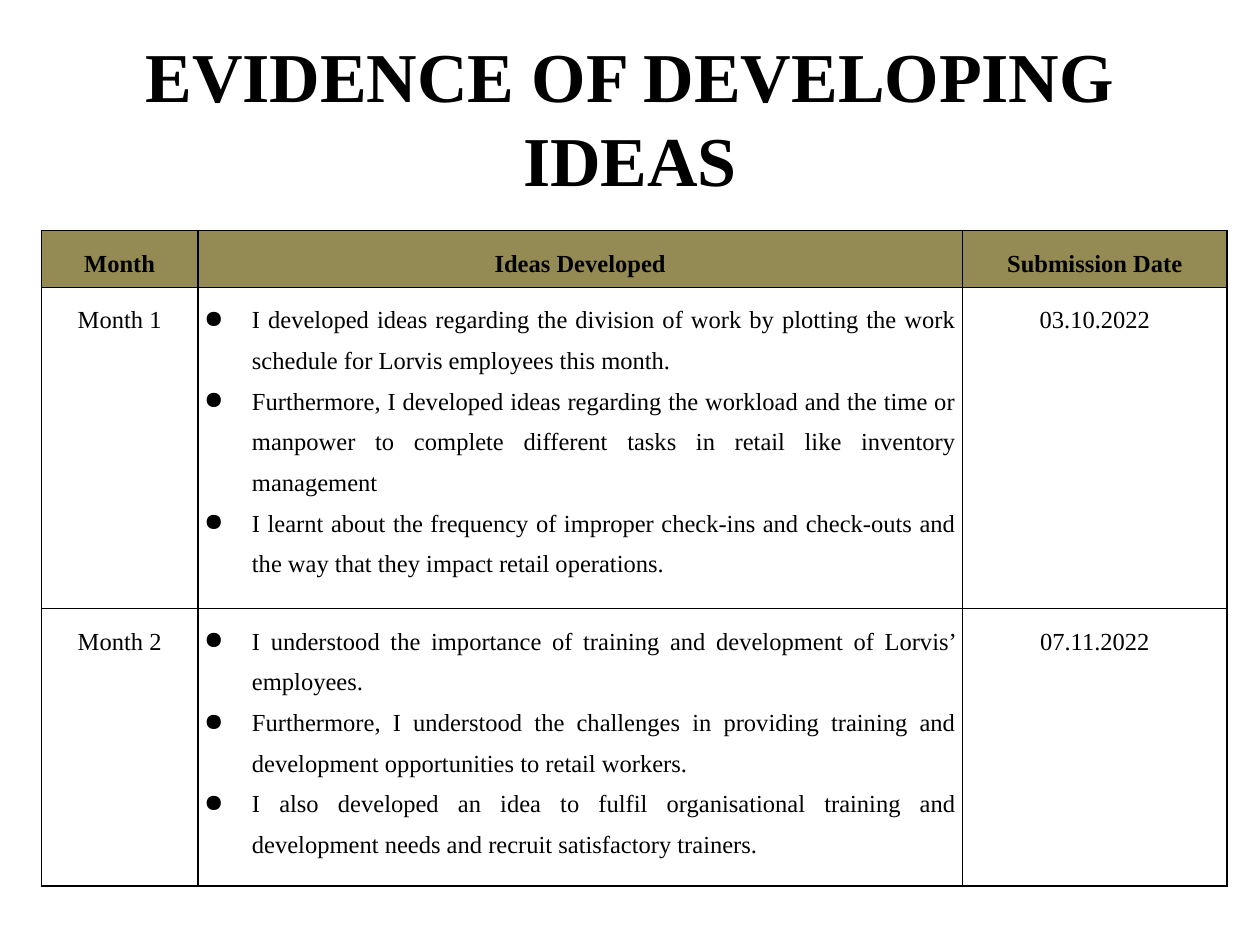
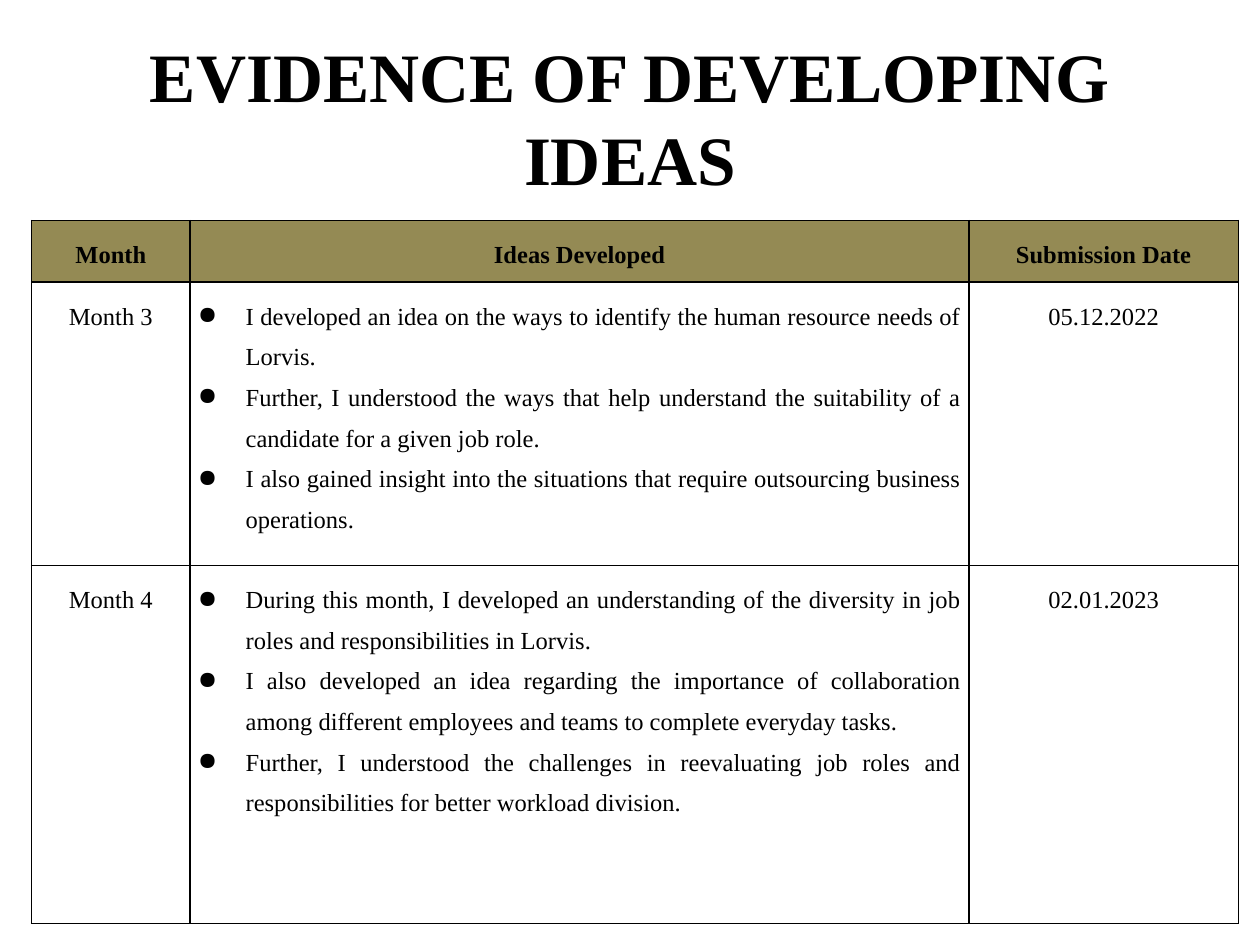
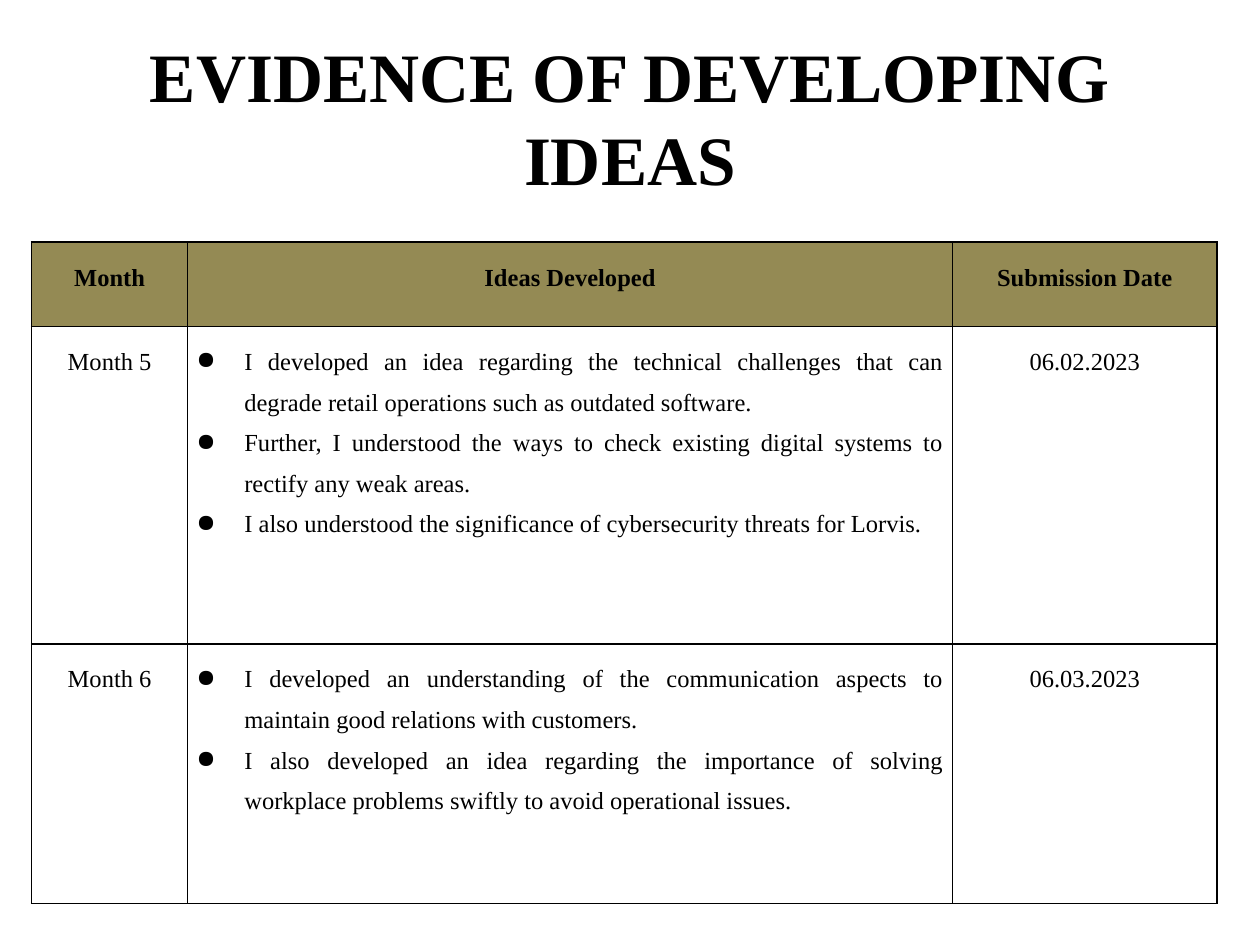
from pptx import Presentation
from pptx import util as u
from pptx.dml.color import RGBColor
from pptx.enum import text
from pptx.oxml import parse_xml
from pptx.oxml.ns import nsdecls, qn
from lxml import etree

# Content: one entry per slide, with its table geometry in inches
TITLE = "EVIDENCE OF DEVELOPING IDEAS"
HEADINGS = ("Month", "Ideas Developed", "Submission Date")
PAGES = [
    {
        "title_size": 40, "left": 0.33, "top": 1.83, "inset": 0.05,
        "columns": (1.24, 6.07, 2.1), "rows": (0.44, 2.33, 2.08),
        "months": [
            ("Month 1", [
                "I developed ideas regarding the division of work by plotting the work "
                "schedule for Lorvis employees this month.",
                "Furthermore, I developed ideas regarding the workload and the time or "
                "manpower to complete different tasks in retail like inventory management",
                "I learnt about the frequency of improper check-ins and check-outs and "
                "the way that they impact retail operations.",
            ], "03.10.2022"),
            ("Month 2", [
                "I understood the importance of training and development of Lorvis’ employees.",
                "Furthermore, I understood the challenges in providing training and "
                "development opportunities to retail workers.",
                "I also developed an idea to fulfil organisational training and "
                "development needs and recruit satisfactory trainers.",
            ], "07.11.2022"),
        ],
    },
    {
        "title_size": 39.6, "left": 0.25, "top": 1.75, "inset": 0.06,
        "columns": (1.26, 6.18, 2.14), "rows": (0.49, 2.25, 2.84),
        "months": [
            ("Month 3", [
                "I developed an idea on the ways to identify the human resource needs of Lorvis.",
                "Further, I understood the ways that help understand the suitability of a "
                "candidate for a given job role.",
                "I also gained insight into the situations that require outsourcing "
                "business operations.",
            ], "05.12.2022"),
            ("Month 4", [
                "During this month, I developed an understanding of the diversity in job "
                "roles and responsibilities in Lorvis.",
                "I also developed an idea regarding the importance of collaboration among "
                "different employees and teams to complete everyday tasks.",
                "Further, I understood the challenges in reevaluating job roles and "
                "responsibilities for better workload division.",
            ], "02.01.2023"),
        ],
    },
    {
        "title_size": 39.6, "left": 0.25, "top": 1.92, "inset": 0.07,
        "columns": (1.24, 6.07, 2.1), "rows": (0.67, 2.52, 2.06),
        "months": [
            ("Month 5", [
                "I developed an idea regarding the technical challenges that can degrade "
                "retail operations such as outdated software.",
                "Further, I understood the ways to check existing digital systems to "
                "rectify any weak areas.",
                "I also understood the significance of cybersecurity threats for Lorvis.",
            ], "06.02.2023"),
            ("Month 6", [
                "I developed an understanding of the communication aspects to maintain "
                "good relations with customers.",
                "I also developed an idea regarding the importance of solving workplace "
                "problems swiftly to avoid operational issues.",
            ], "06.03.2023"),
        ],
    },
]


class Theme:
    font = "Times New Roman"
    ink = "000000"
    band = "948A54"
    body_size = 14
    line_spacing = 1.5
    border = 1
    bullet = "●"
    indent = 0.38
    title_at = (0.5, 0.3, 9, 1.25)


def set_all(target, values):
    for name, value in values.items():
        setattr(target, name, value)


def write(para, words, size, bold, align):
    para.alignment = align
    span = para.add_run()
    span.text = words
    set_all(span.font, {"name": Theme.font, "size": u.Pt(size), "bold": bold})
    span.font.color.rgb = RGBColor.from_string(Theme.ink)


def add_bullet(para):
    props = para._p.get_or_add_pPr()
    indent = u.Inches(Theme.indent)
    props.set("marL", str(indent))
    props.set("indent", str(-indent))
    etree.SubElement(props, qn("a:buChar")).set("char", Theme.bullet)


def add_borders(cell):
    props = cell._tc.get_or_add_tcPr()
    for side in ("lnL", "lnR", "lnT", "lnB"):
        props.append(parse_xml(
            f'<a:{side} {nsdecls("a")} w="{u.Pt(Theme.border)}"><a:solidFill>'
            f'<a:srgbClr val="{Theme.ink}"/></a:solidFill></a:{side}>'))


def fill_cell(cell, content, inset, heading):
    sides = ("left", "right", "top", "bottom")
    set_all(cell, {f"margin_{side}": u.Inches(inset) for side in sides})
    add_borders(cell)
    if heading:
        cell.fill.solid()
        cell.fill.fore_color.rgb = RGBColor.from_string(Theme.band)
    else:
        cell.fill.background()

    # A list becomes justified bullets, a plain string one centred line
    bulleted = isinstance(content, list)
    align = text.PP_ALIGN.JUSTIFY if bulleted else text.PP_ALIGN.CENTER
    frame = cell.text_frame
    for index, words in enumerate(content if bulleted else [content]):
        para = frame.add_paragraph() if index else frame.paragraphs[0]
        para.line_spacing = Theme.line_spacing
        if bulleted:
            add_bullet(para)
        write(para, words, Theme.body_size, heading, align)


def add_title(page, size):
    box = page.shapes.add_textbox(*map(u.Inches, Theme.title_at))
    set_all(box.text_frame, {"word_wrap": True,
                             "vertical_anchor": text.MSO_ANCHOR.MIDDLE})
    write(box.text_frame.paragraphs[0], TITLE, size, True, text.PP_ALIGN.CENTER)


def add_ideas_table(page, plan):
    columns, rows = plan["columns"], plan["rows"]
    area = (plan["left"], plan["top"], sum(columns), sum(rows))
    table = page.shapes.add_table(len(rows), len(columns), *map(u.Inches, area)).table
    set_all(table, {"first_row": False, "horz_banding": False})
    for column, width in zip(table.columns, columns):
        column.width = u.Inches(width)
    for row, height in zip(table.rows, rows):
        row.height = u.Inches(height)
    for r, record in enumerate([HEADINGS, *plan["months"]]):
        for c, content in enumerate(record):
            fill_cell(table.cell(r, c), content, plan["inset"], heading=r == 0)


def main():
    deck = Presentation()
    set_all(deck, {"slide_width": u.Inches(10), "slide_height": u.Inches(7.5)})
    for plan in PAGES:
        page = deck.slides.add_slide(deck.slide_layouts[6])
        add_title(page, plan["title_size"])
        add_ideas_table(page, plan)
    deck.save("out.pptx")


if __name__ == "__main__":
    main()
